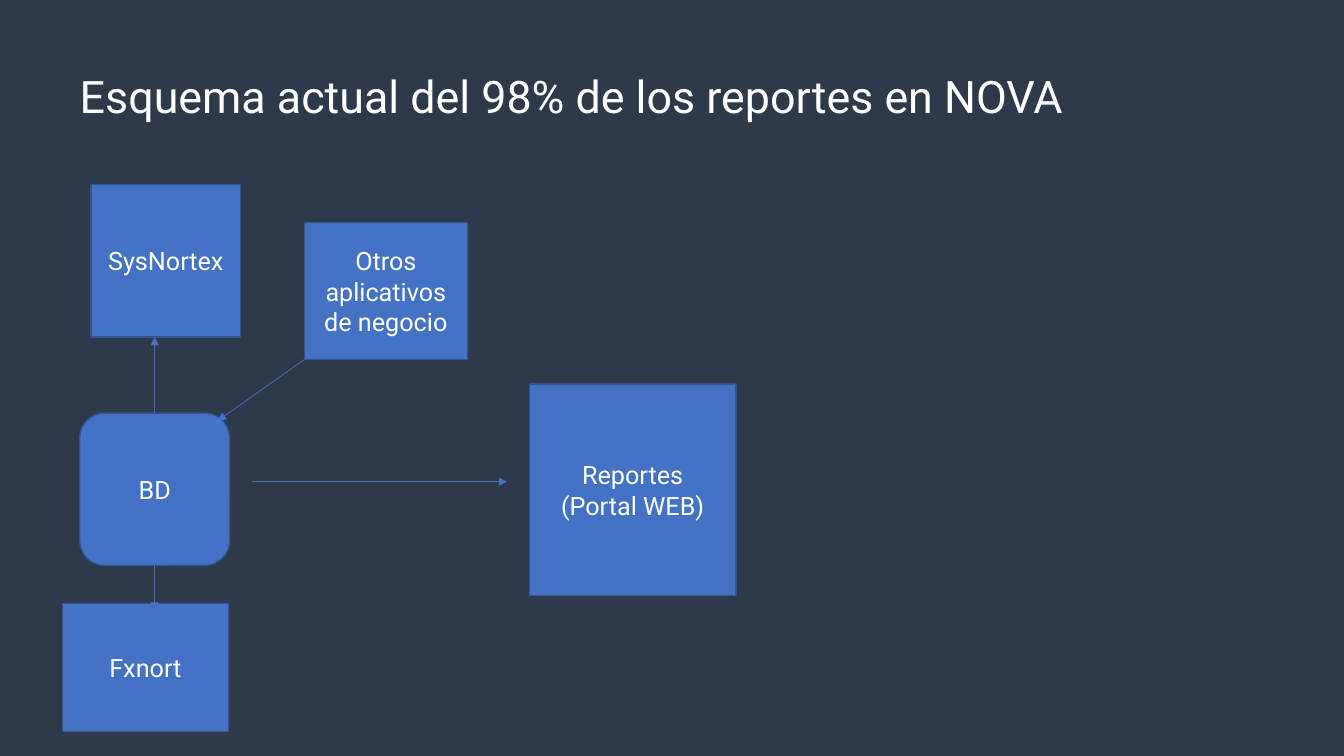
from lxml import etree
from pptx import Presentation
from pptx.dml.color import RGBColor
from pptx.enum import shapes, text
from pptx.oxml import ns
from pptx.util import Cm, Pt

THEME = {
    "background": "2E3949", "box": "4472C4", "border": "325491", "text": "FFFFFF",
    "font": "Roboto", "title_size": 32, "box_size": 18,
    "border_width": 1, "arrow_width": 0.5,
}

SLIDE_SIZE = (33.87, 19.05)
TITLE = "Esquema actual del 98% de los reportes en NOVA"
TITLE_AREA = (2.01, 1.73, 29.79, 4.11)
RECT = shapes.MSO_SHAPE.RECTANGLE
ROUNDED = shapes.MSO_SHAPE.ROUNDED_RECTANGLE

# Label, outline, (left, top, width, height) in cm
SYSTEMS = {
    "database": ("BD", ROUNDED, (2.01, 10.41, 3.78, 3.84)),
    "reports": ("Reportes\n(Portal WEB)", RECT, (13.34, 9.68, 5.21, 5.33)),
    "core": ("SysNortex", RECT, (2.29, 4.65, 3.78, 3.84)),
    "exchange": ("Fxnort", RECT, (1.57, 15.21, 4.19, 3.23)),
    "others": ("Otros aplicativos de negocio", RECT, (7.67, 5.61, 4.11, 3.45)),
}


def point(system, across, down):
    """Return the point at the given fractions of a system's box."""
    left, top, width, height = SYSTEMS[system][2]
    return left + across * width, top + down * height


def color(name):
    """Return a theme colour."""
    return RGBColor.from_string(THEME[name])


def write(frame, words, size):
    """Fill a text frame and format its runs."""
    frame.word_wrap = True
    frame.text = words
    for paragraph in frame.paragraphs:
        for run in paragraph.runs:
            run.font.name = THEME["font"]
            run.font.size = Pt(THEME[size])
            run.font.color.rgb = color("text")


def add_title(slide):
    """Add the heading without inner margins."""
    frame = slide.shapes.add_textbox(*map(Cm, TITLE_AREA)).text_frame
    frame.margin_left = frame.margin_right = frame.margin_top = frame.margin_bottom = 0
    write(frame, TITLE, "title_size")


def add_system(slide, label, outline, area):
    """Add one labelled box."""
    box = slide.shapes.add_shape(outline, *map(Cm, area))
    box.shadow.inherit = False
    box.fill.solid()
    box.fill.fore_color.rgb = color("box")
    box.line.color.rgb = color("border")
    box.line.width = Pt(THEME["border_width"])
    write(box.text_frame, label, "box_size")
    box.text_frame.vertical_anchor = text.MSO_ANCHOR.MIDDLE
    for paragraph in box.text_frame.paragraphs:
        paragraph.alignment = text.PP_ALIGN.CENTER


def add_flow(slide, start, end):
    """Add a straight arrow between two points."""
    arrow = slide.shapes.add_connector(
        shapes.MSO_CONNECTOR.STRAIGHT, *map(Cm, start + end))
    arrow.line.color.rgb = color("box")
    arrow.line.width = Pt(THEME["arrow_width"])
    etree.SubElement(arrow.line._get_or_add_ln(), ns.qn("a:tailEnd"), type="triangle")
    etree.SubElement(arrow._element.spPr, ns.qn("a:effectLst"))


def main():
    """Build and save the slide."""
    deck = Presentation()
    deck.slide_width, deck.slide_height = map(Cm, SLIDE_SIZE)
    slide = deck.slides.add_slide(deck.slide_layouts[6])
    slide.background.fill.solid()
    slide.background.fill.fore_color.rgb = color("background")

    add_title(slide)
    for label, outline, area in SYSTEMS.values():
        add_system(slide, label, outline, area)

    database_top = point("database", 0.5, 0)
    database_bottom = point("database", 0.5, 1)
    flows = [
        ((6.35, 12.14), (12.78, 12.14)),
        (database_top, (database_top[0], point("core", 0, 1)[1])),
        (database_bottom, (database_bottom[0], 15.39)),
        (point("others", 0, 1), point("database", 0.92, 0.05)),
    ]
    for start, end in flows:
        add_flow(slide, start, end)
    deck.save("out.pptx")


main()
